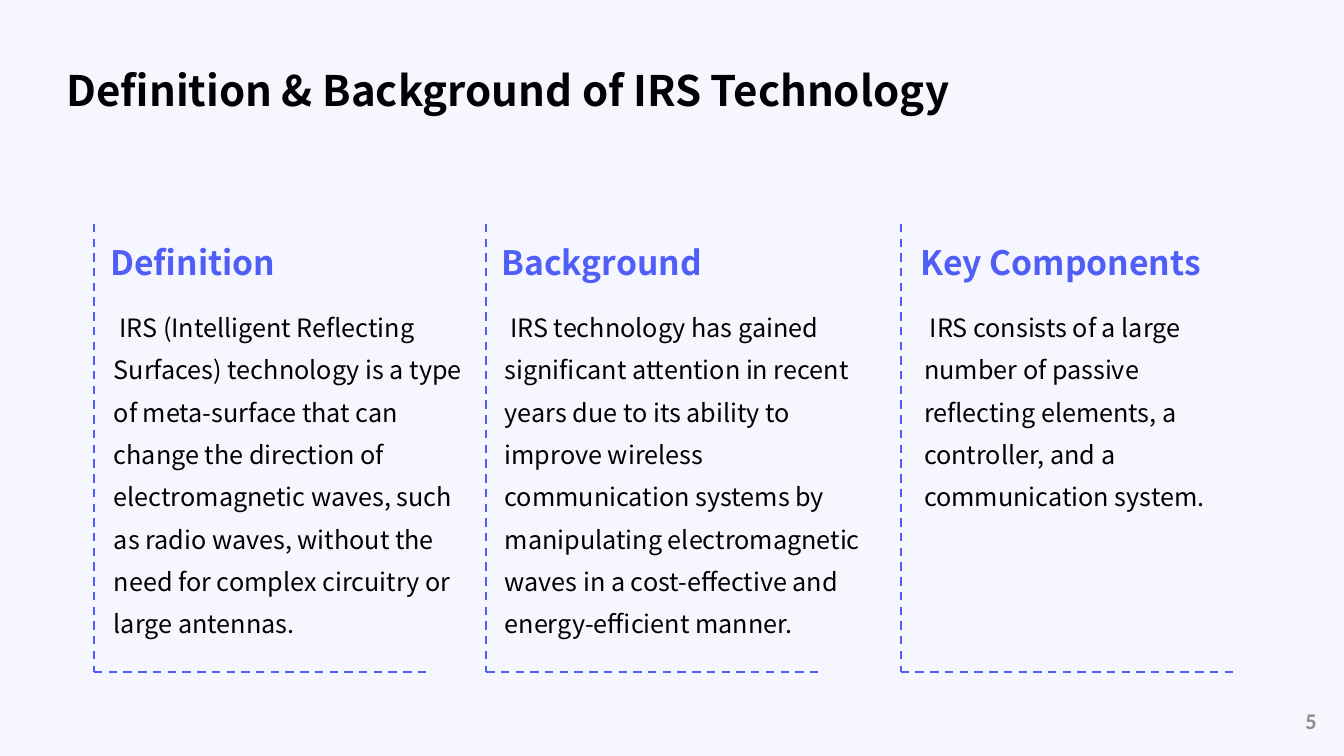
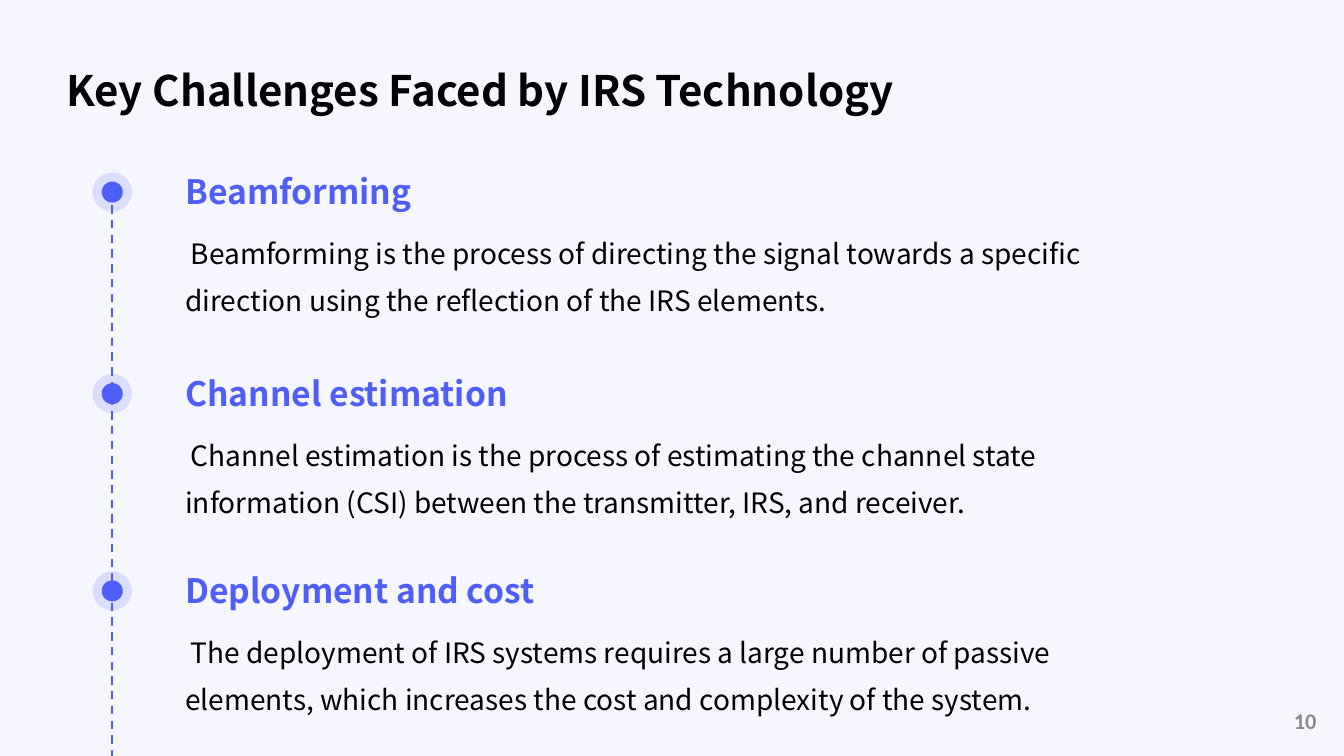
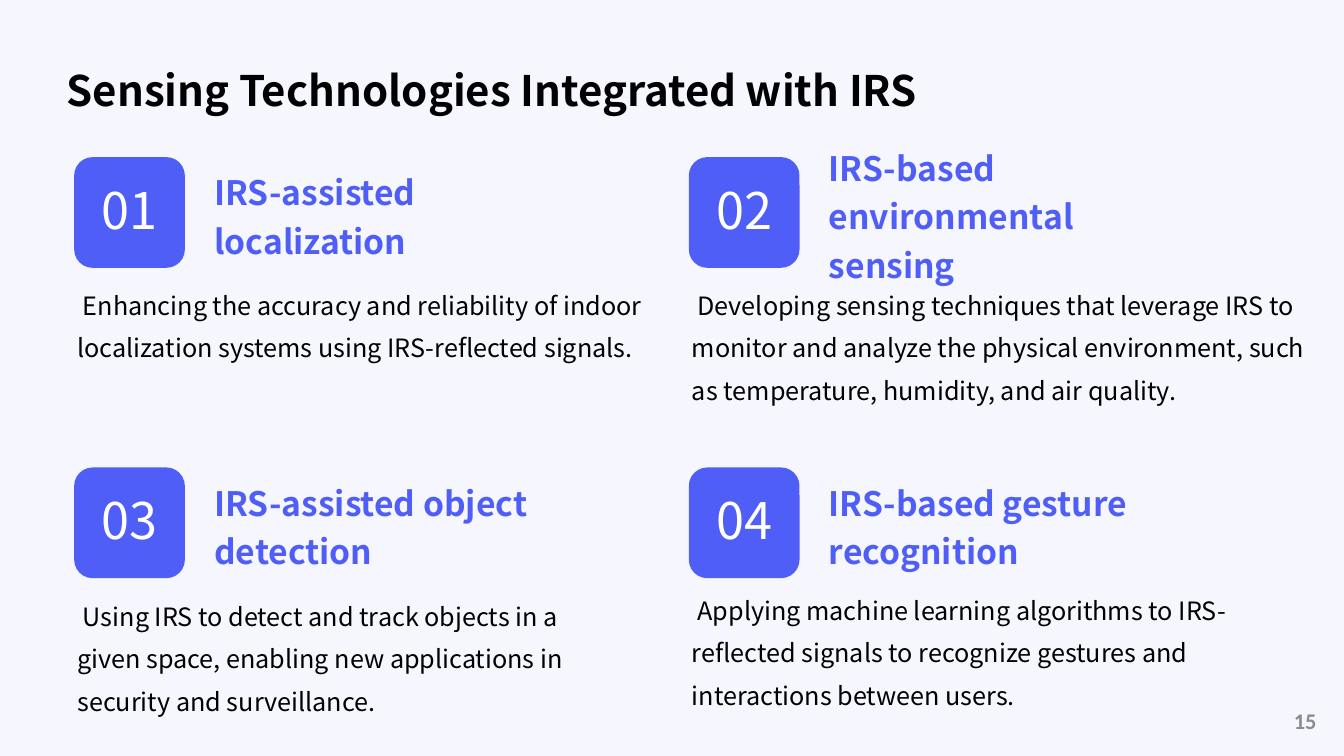
from dataclasses import dataclass

from lxml import etree
from pptx import Presentation
from pptx import util as u
from pptx.dml.color import RGBColor
from pptx.enum import dml, shapes, text
from pptx.oxml.ns import qn


@dataclass(frozen=True)
class Theme:
    paper: str = "F6F6FE"
    ink: str = "010103"
    accent: str = "4F5EF7"
    grey: str = "8C8C8C"
    white: str = "FFFFFF"
    font: str = "Noto Sans CJK SC"
    number_font: str = "Calibri"
    title: int = 30
    heading: int = 24
    lead: int = 20
    body: int = 18
    badge: int = 36
    page: int = 16


T = Theme()
HEADING = dict(size=T.heading, color=T.accent, bold=True, spacing=1.2)
BODY = dict(spacing=1.4, indent=0.14)
FLUSH = (0, 0, 0, 0)
PADDED = (0.3, 0.15, 0.3, 0.15)


def write(sp, words, size=T.body, color=T.ink, bold=False, font=T.font, spacing=1.0,
          align="LEFT", anchor="TOP", inset=(0.25, 0.13, 0.25, 0.13), indent=0):
    """Fill a shape with one formatted paragraph; inset is left, top, right, bottom."""
    tf = sp.text_frame
    tf.word_wrap = True
    tf.auto_size = text.MSO_AUTO_SIZE.NONE
    tf.vertical_anchor = text.MSO_ANCHOR[anchor]
    tf.margin_left, tf.margin_top, tf.margin_right, tf.margin_bottom = map(u.Cm, inset)
    p = tf.paragraphs[0]
    p.alignment = text.PP_ALIGN[align]
    p.line_spacing = spacing
    p.space_before = u.Pt(0)
    if indent:
        p._p.get_or_add_pPr().set("indent", str(u.Cm(indent)))
    r = p.add_run()
    r.text = words
    r.font.name, r.font.size, r.font.bold = font, u.Pt(size), bold
    r.font.color.rgb = RGBColor.from_string(color)


def dashed_line(s, *ends):
    """Draw a dashed accent line through x1, y1, x2, y2."""
    ln = s.shapes.add_connector(shapes.MSO_CONNECTOR.STRAIGHT, *map(u.Cm, ends))
    ln.line.color.rgb = RGBColor.from_string(T.accent)
    ln.line.width = u.Pt(1.5)
    ln.line.dash_style = dml.MSO_LINE.DASH
    etree.SubElement(ln._element.spPr, qn("a:effectLst"))


# Shared page: size, background and title position
prs = Presentation()
prs.slide_width, prs.slide_height = u.Cm(33.87), u.Cm(19.05)
bg = prs.slide_master.background.fill
bg.solid()
bg.fore_color.rgb = RGBColor.from_string(T.paper)
layout = prs.slide_layouts[5]
title = layout.placeholders[0]
title.left, title.top, title.width, title.height = map(u.Cm, (1.32, 0.74, 31.22, 2.54))

# Slides with their title and page number
slides = []
for words, number in [
    ("Definition & Background of IRS Technology", "5"),
    ("Key Challenges Faced by IRS Technology", "10"),
    ("Sensing Technologies Integrated with IRS", "15"),
]:
    s = prs.slides.add_slide(layout)
    write(s.shapes.title, words, size=T.title, bold=True, spacing=1.4, anchor="MIDDLE",
          inset=(0.36, 0.36, 0.15, 0.36))
    write(s.shapes.add_textbox(*map(u.Cm, (27.51, 17.65, 5.92, 1.02))), number,
          size=T.page, color=T.grey, bold=True, font=T.number_font,
          align="RIGHT", anchor="MIDDLE")
    slides.append(s)
columns_slide, timeline_slide, grid_slide = slides

# Three columns, each framed by a dashed corner
s = columns_slide
top, bottom = 5.64, 16.94
for x, text_x, width, heading, body in [
    (2.37, 2.49, 9.58, "Definition",
     "IRS (Intelligent Reflecting Surfaces) technology is a type of meta-surface that can "
     "change the direction of electromagnetic waves, such as radio waves, without the need "
     "for complex circuitry or large antennas."),
    (12.25, 12.34, 10.06, "Background",
     "IRS technology has gained significant attention in recent years due to its ability to "
     "improve wireless communication systems by manipulating electromagnetic waves in a "
     "cost-effective and energy-efficient manner."),
    (22.7, 22.91, 8.94, "Key Components",
     "IRS consists of a large number of passive reflecting elements, a controller, and a "
     "communication system."),
]:
    dashed_line(s, x, top, x, bottom)
    dashed_line(s, x, bottom, x + 8.41, bottom)
    write(s.shapes.add_textbox(*map(u.Cm, (text_x, 5.66, 8.41, 1.6))), heading,
          anchor="BOTTOM", inset=PADDED, **HEADING)
    write(s.shapes.add_textbox(*map(u.Cm, (text_x + 0.08, 7.42, width, 8.69))), body,
          inset=PADDED, **BODY)

# Timeline with a haloed dot beside each challenge
s = timeline_slide
axis = 2.83
dashed_line(s, axis, 4.8, axis, 19.05)
for y, heading, body in [
    (3.78, "Beamforming",
     "Beamforming is the process of directing the signal towards a specific direction using "
     "the reflection of the IRS elements."),
    (8.86, "Channel estimation",
     "Channel estimation is the process of estimating the channel state information (CSI) "
     "between the transmitter, IRS, and receiver."),
    (13.83, "Deployment and cost",
     "The deployment of IRS systems requires a large number of passive elements, which "
     "increases the cost and complexity of the system."),
]:
    for size, alpha in [(0.99, 16), (0.53, 100)]:
        dot = s.shapes.add_shape(
            shapes.MSO_SHAPE.OVAL,
            *map(u.Cm, (axis - size / 2, y + 1.06 - size / 2, size, size)))
        dot.shadow.inherit = False
        dot.line.fill.background()
        dot.fill.solid()
        dot.fill.fore_color.rgb = RGBColor.from_string(T.accent)
        if alpha < 100:
            color = next(dot._element.spPr.iter(qn("a:srgbClr")))
            etree.SubElement(color, qn("a:alpha"), val=str(alpha * 1000))
    write(s.shapes.add_textbox(*map(u.Cm, (4.67, y, 24.84, 1.55))), heading,
          anchor="BOTTOM", inset=FLUSH, **HEADING)
    write(s.shapes.add_textbox(*map(u.Cm, (4.67, y + 1.84, 24.92, 2.13))), body,
          size=T.lead, inset=FLUSH, **BODY)

# Two-by-two grid of numbered technologies
s = grid_slide
side = 2.79
for i, (body_dy, width, heading, body) in enumerate([
    (3.05, 14.88, "IRS-assisted localization",
     "Enhancing the accuracy and reliability of indoor localization systems using "
     "IRS-reflected signals."),
    (3.05, 16, "IRS-based environmental sensing",
     "Developing sensing techniques that leverage IRS to monitor and analyze the physical "
     "environment, such as temperature, humidity, and air quality."),
    (3.07, 13.49, "IRS-assisted object detection",
     "Using IRS to detect and track objects in a given space, enabling new applications in "
     "security and surveillance."),
    (2.92, 13.49, "IRS-based gesture recognition",
     "Applying machine learning algorithms to IRS-reflected signals to recognize gestures "
     "and interactions between users."),
]):
    row, col = divmod(i, 2)
    x, y = 1.87 + 15.49 * col, 3.96 + 7.82 * row
    badge = s.shapes.add_shape(shapes.MSO_SHAPE.ROUNDED_RECTANGLE,
                               *map(u.Cm, (x, y, side, side)))
    badge.shadow.inherit = False
    badge.line.fill.background()
    badge.fill.solid()
    badge.fill.fore_color.rgb = RGBColor.from_string(T.accent)
    write(badge, f"{i + 1:02}", size=T.badge, color=T.white, align="CENTER",
          anchor="MIDDLE", inset=(0, 0, 0, 0.15))
    write(s.shapes.add_textbox(*map(u.Cm, (x + 3.28, y, 9.86, side))), heading,
          anchor="MIDDLE", **HEADING)
    write(s.shapes.add_textbox(*map(u.Cm, (x + 0.08, y + body_dy, width, 2.77))), body,
          inset=FLUSH, **BODY)

prs.save("out.pptx")
